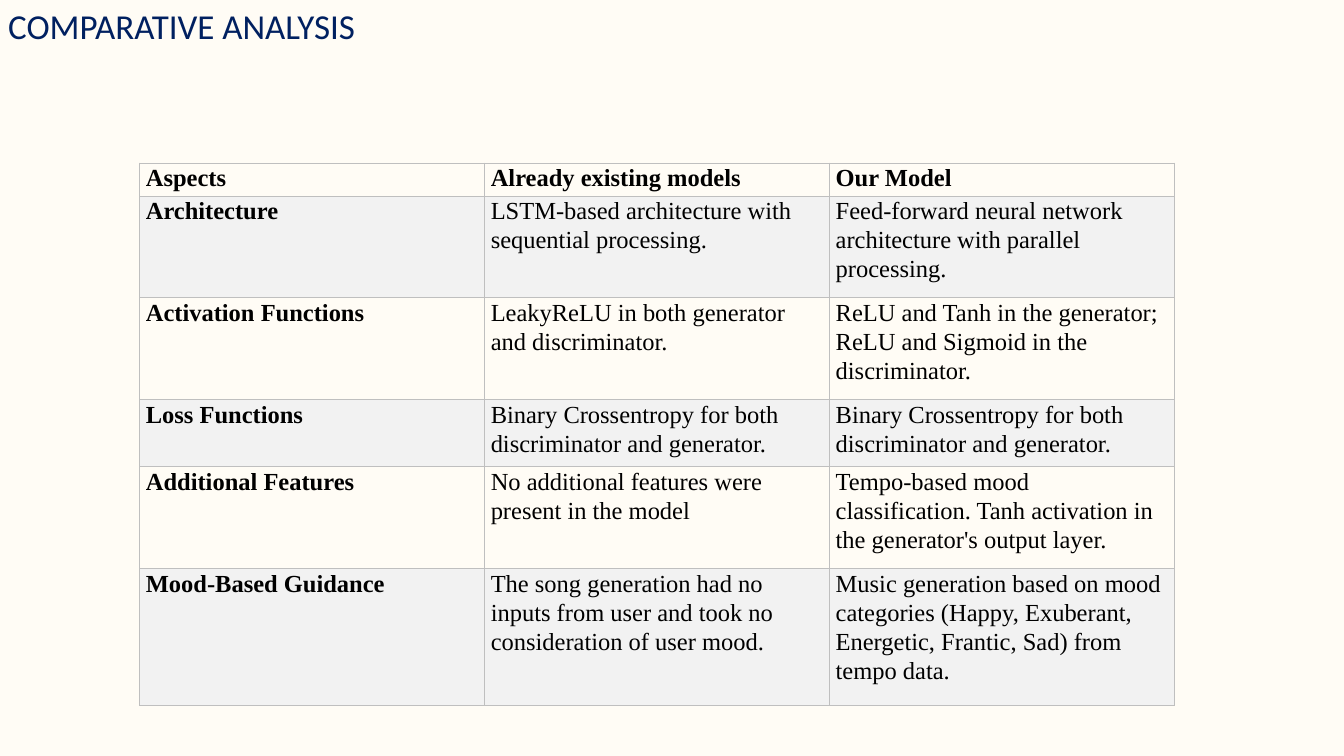
from lxml import etree
from pptx import Presentation
from pptx import util as u
from pptx.dml.color import RGBColor
from pptx.enum import shapes, text
from pptx.oxml import ns

CREAM = RGBColor(0xFF, 0xFC, 0xF5)
NAVY = RGBColor(0x00, 0x20, 0x60)
BLACK = RGBColor(0x00, 0x00, 0x00)
BAND = RGBColor(0xF2, 0xF2, 0xF2)
BORDER = RGBColor(0xBF, 0xBF, 0xBF)

ROW_HEIGHTS = [1, 3.08, 3.08, 2.03, 3.08, 4.14]
COMPARISON = [
    ("Aspects", "Already existing models", "Our Model"),
    ("Architecture",
     "LSTM-based architecture with sequential processing.",
     "Feed-forward neural network architecture with parallel processing."),
    ("Activation Functions",
     "LeakyReLU in both generator and discriminator.",
     "ReLU and Tanh in the generator; ReLU and Sigmoid in the discriminator."),
    ("Loss Functions",
     "Binary Crossentropy for both discriminator and generator.",
     "Binary Crossentropy for both discriminator and generator."),
    ("Additional Features",
     "No additional features were present in the model",
     "Tempo-based mood classification. Tanh activation in the generator's output layer."),
    ("Mood-Based Guidance",
     "The song generation had no inputs from user and took no consideration of user mood.",
     "Music generation based on mood categories (Happy, Exuberant, Energetic, Frantic, Sad) from tempo data."),
]


class SlideBuilder:
    """Holds the text style and current page, and adds its elements."""

    def __init__(self, deck):
        self.page = deck.slides.add_slide(deck.slide_layouts[6])
        self.title_style = ("Calibri", 30, NAVY)
        self.table_style = ("Times New Roman", 21, BLACK)

    def add_span(self, para, wording, style, bold=False):
        span = para.add_run()
        span.text = wording
        span.font.name, size, span.font.color.rgb = style
        span.font.size = u.Pt(size)
        span.font.bold = bold

    def add_title_panel(self, wording, width, height):
        panel = self.page.shapes.add_shape(
            shapes.MSO_SHAPE.RECTANGLE, 0, 0, width, height)
        panel.shadow.inherit = False
        panel.fill.solid()
        panel.fill.fore_color.rgb = CREAM
        panel.line.fill.background()
        frame = panel.text_frame
        frame.word_wrap = True
        frame.vertical_anchor = text.MSO_ANCHOR.TOP
        para = frame.paragraphs[0]
        para.alignment = text.PP_ALIGN.LEFT
        self.add_span(para, wording, self.title_style)

    def add_borders(self, cell):
        properties = cell._tc.get_or_add_tcPr()
        for position, side in enumerate(("lnL", "lnR", "lnT", "lnB")):
            line = etree.Element(ns.qn(f"a:{side}"), w=str(u.Pt(1)))
            fill = etree.SubElement(line, ns.qn("a:solidFill"))
            etree.SubElement(fill, ns.qn("a:srgbClr"), val=str(BORDER))
            properties.insert(position, line)

    def fill_cell(self, cell, wording, bold, banded):
        cell.margin_left = cell.margin_right = u.Cm(0.19)
        cell.margin_top = cell.margin_bottom = 0
        if banded:
            cell.fill.solid()
            cell.fill.fore_color.rgb = BAND
        else:
            cell.fill.background()
        self.add_borders(cell)
        para = cell.text_frame.paragraphs[0]
        para.line_spacing = 1.07
        para.space_after = u.Pt(8)
        self.add_span(para, wording, self.table_style, bold)

    def add_comparison(self, rows, heights, left, top, column_width):
        columns = len(rows[0])
        table = self.page.shapes.add_table(
            len(rows), columns, left, top,
            column_width * columns, u.Cm(sum(heights))).table
        for column in table.columns:
            column.width = column_width
        for r, (wordings, height) in enumerate(zip(rows, heights)):
            table.rows[r].height = u.Cm(height)
            for c, wording in enumerate(wordings):
                self.fill_cell(table.cell(r, c), wording,
                               bold=r == 0 or c == 0, banded=r % 2 == 1)


def main():
    deck = Presentation()
    deck.slide_width, deck.slide_height = u.Cm(40.64), u.Cm(22.86)
    builder = SlideBuilder(deck)
    builder.add_title_panel("COMPARATIVE ANALYSIS", deck.slide_width, deck.slide_height)
    builder.add_comparison(COMPARISON, ROW_HEIGHTS, u.Cm(4.22), u.Cm(4.93), u.Cm(10.43))
    deck.save("out.pptx")


if __name__ == "__main__":
    main()
